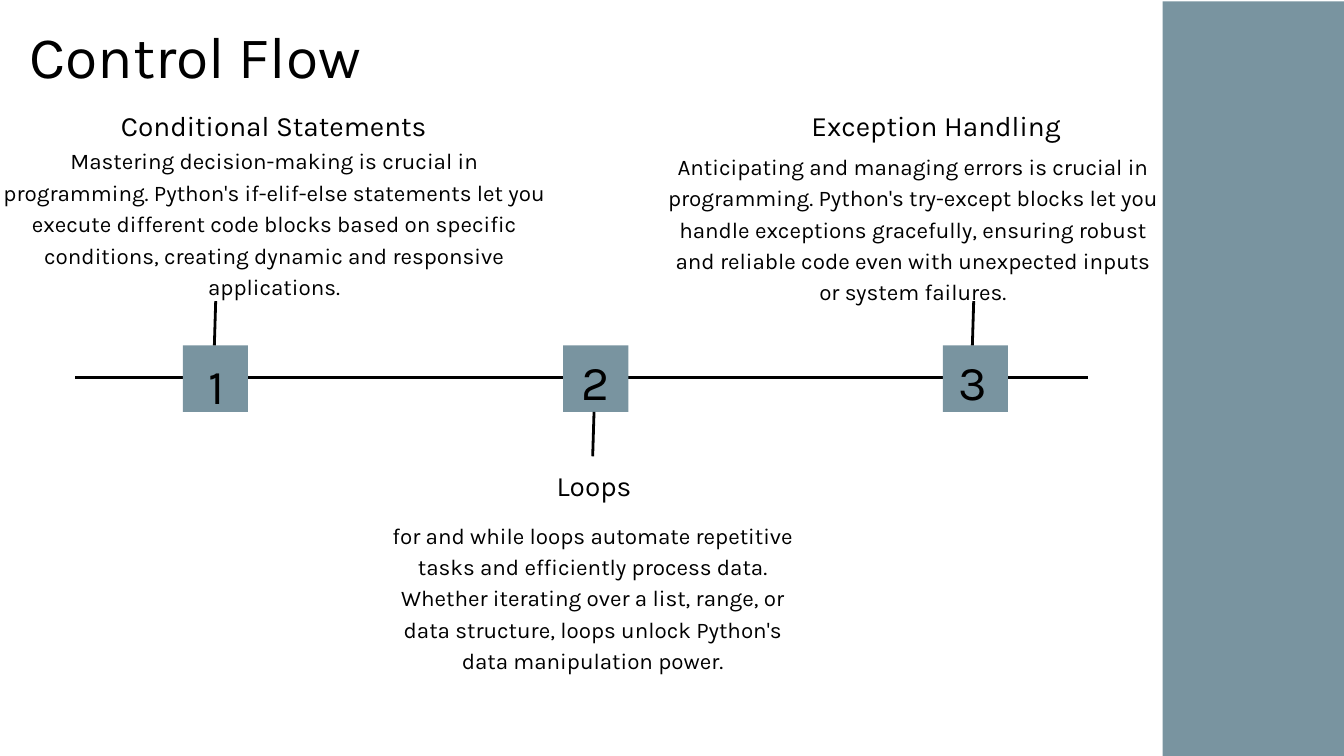
from dataclasses import dataclass

from lxml import etree
from pptx import Presentation
from pptx.dml.color import RGBColor
from pptx.enum.shapes import MSO_CONNECTOR, MSO_SHAPE
from pptx.enum.text import MSO_AUTO_SIZE, PP_ALIGN
from pptx.oxml.ns import qn
from pptx.util import Inches, Pt

RECTANGLE = MSO_SHAPE.RECTANGLE
STRAIGHT = MSO_CONNECTOR.STRAIGHT
CENTER = PP_ALIGN.CENTER
FIT_TEXT = MSO_AUTO_SIZE.SHAPE_TO_FIT_TEXT

COLORS = {"ink": "000000", "accent": "7994A0"}
TITLE_SIZE, NUMBER_SIZE, HEADING_SIZE, BODY_SIZE = 63, 52, 30, 24

MARKER_TOP, MARKER_WIDTH, MARKER_HEIGHT = 5.14, 0.97, 0.99
STEM_LEAN, STEM_HEIGHT = 0.02, 0.66

# Text boxes are left, top, width, height in inches.
STEPS = [
    {
        "marker_left": 2.72,
        "stem": (3.19, MARKER_TOP),
        "number": ("1", (3.03, 5.16, 0.38, 0.97)),
        "heading": ("Conditional Statements", (1.65, 1.53, 4.85, 0.56)),
        "body": (
            "Mastering decision-making is crucial in programming. Python's "
            "if-elif-else statements let you execute different code blocks "
            "based on specific conditions, creating dynamic and responsive "
            "applications.",
            (0, 2.13, 8.16, 2.27),
        ),
    },
    {
        "marker_left": 8.38,
        "stem": (8.82, MARKER_TOP + MARKER_HEIGHT + STEM_HEIGHT),
        "number": ("2", (8.66, 5.09, 0.4, 0.97)),
        "heading": ("Loops", (8.22, 6.89, 1.24, 0.56)),
        "body": (
            "for and while loops automate repetitive tasks and efficiently "
            "process data. Whether iterating over a list, range, or data "
            "structure, loops unlock Python's data manipulation power.",
            (5.7, 7.7, 6.24, 2.27),
        ),
    },
    {
        "marker_left": 14.03,
        "stem": (14.47, MARKER_TOP),
        "number": ("3", (14.26, 5.1, 0.43, 0.97)),
        "heading": ("Exception Handling", (11.94, 1.53, 3.98, 0.56)),
        "body": (
            "Anticipating and managing errors is crucial in programming. "
            "Python's try-except blocks let you handle exceptions gracefully, "
            "ensuring robust and reliable code even with unexpected inputs or "
            "system failures.",
            (9.87, 2.21, 7.43, 2.27),
        ),
    },
]


@dataclass
class Painter:
    """Holds the slide being filled and its common style."""

    page: object
    font: str = "Karla"
    line_width: float = 3
    line_spacing: float = 1.4

    def block(self, left, top, width, height):
        block = self.page.shapes.add_shape(
            RECTANGLE, Inches(left), Inches(top), Inches(width), Inches(height)
        )
        block.shadow.inherit = False
        block.fill.solid()
        block.fill.fore_color.rgb = RGBColor.from_string(COLORS["accent"])
        block.line.fill.background()

    def line(self, x1, y1, x2, y2):
        line = self.page.shapes.add_connector(
            STRAIGHT, Inches(x1), Inches(y1), Inches(x2), Inches(y2)
        )
        line.line.width = Pt(self.line_width)
        line.line.color.rgb = RGBColor.from_string(COLORS["ink"])
        etree.SubElement(line._element.spPr, qn("a:effectLst"))

    def text(self, wording, bounds, size):
        box = self.page.shapes.add_textbox(*(Inches(value) for value in bounds))
        frame = box.text_frame
        frame.margin_left = frame.margin_right = Inches(0)
        frame.margin_top = frame.margin_bottom = Inches(0)
        frame.word_wrap = True
        frame.auto_size = FIT_TEXT
        frame.text = wording
        para = frame.paragraphs[0]
        para.alignment = CENTER
        para.line_spacing = Pt(size * self.line_spacing)
        span = para.runs[0]
        span.font.name = self.font
        span.font.size = Pt(size)
        span.font.color.rgb = RGBColor.from_string(COLORS["ink"])


def main():
    deck = Presentation()
    deck.slide_width, deck.slide_height = Inches(20), Inches(11.25)
    painter = Painter(deck.slides.add_slide(deck.slide_layouts[6]))

    painter.block(17.3, 0.02, 2.7, 11.23)
    painter.line(1.12, 5.62, 16.19, 5.62)
    painter.text("Control Flow", (0, 0.12, 5.81, 1.18), TITLE_SIZE)

    for step in STEPS:
        painter.block(step["marker_left"], MARKER_TOP, MARKER_WIDTH, MARKER_HEIGHT)
        x, y = step["stem"]
        painter.line(x, y, x + STEM_LEAN, y - STEM_HEIGHT)
        painter.text(*step["heading"], HEADING_SIZE)
        painter.text(*step["body"], BODY_SIZE)
        painter.text(*step["number"], NUMBER_SIZE)

    deck.save("out.pptx")


if __name__ == "__main__":
    main()
